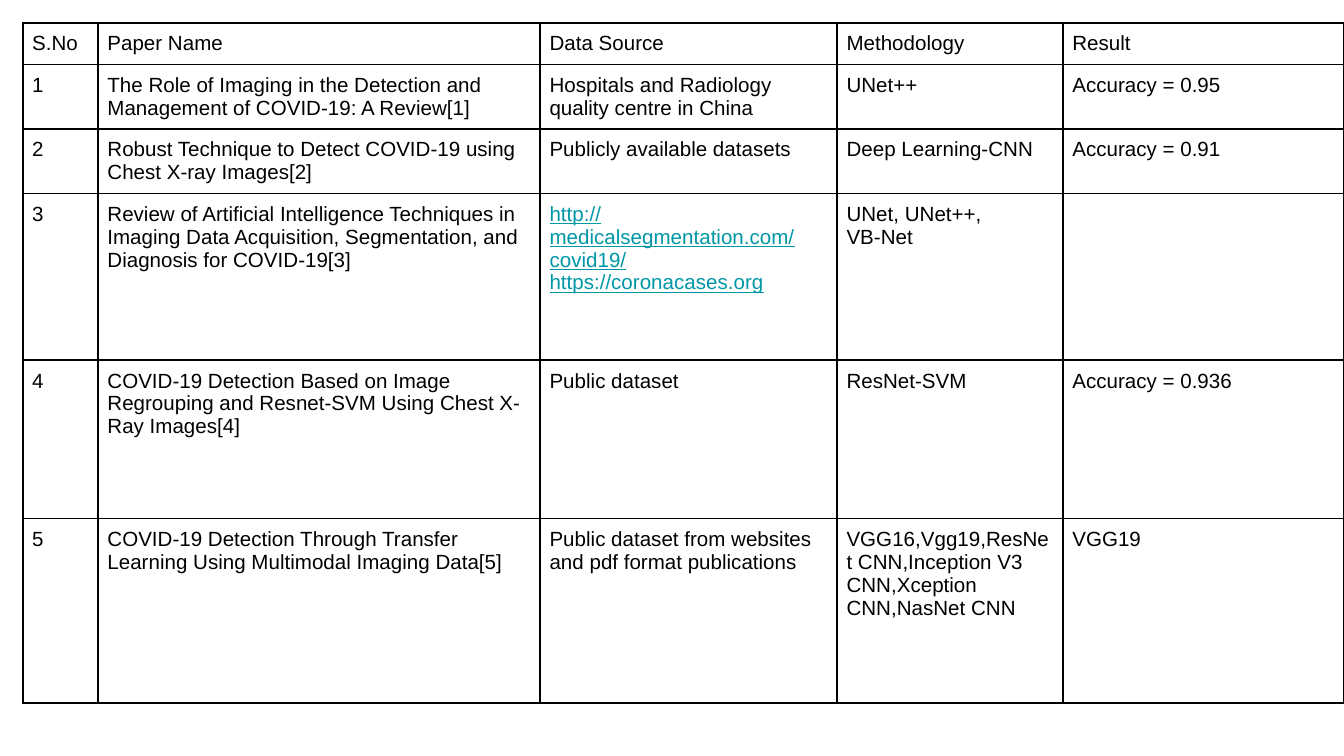
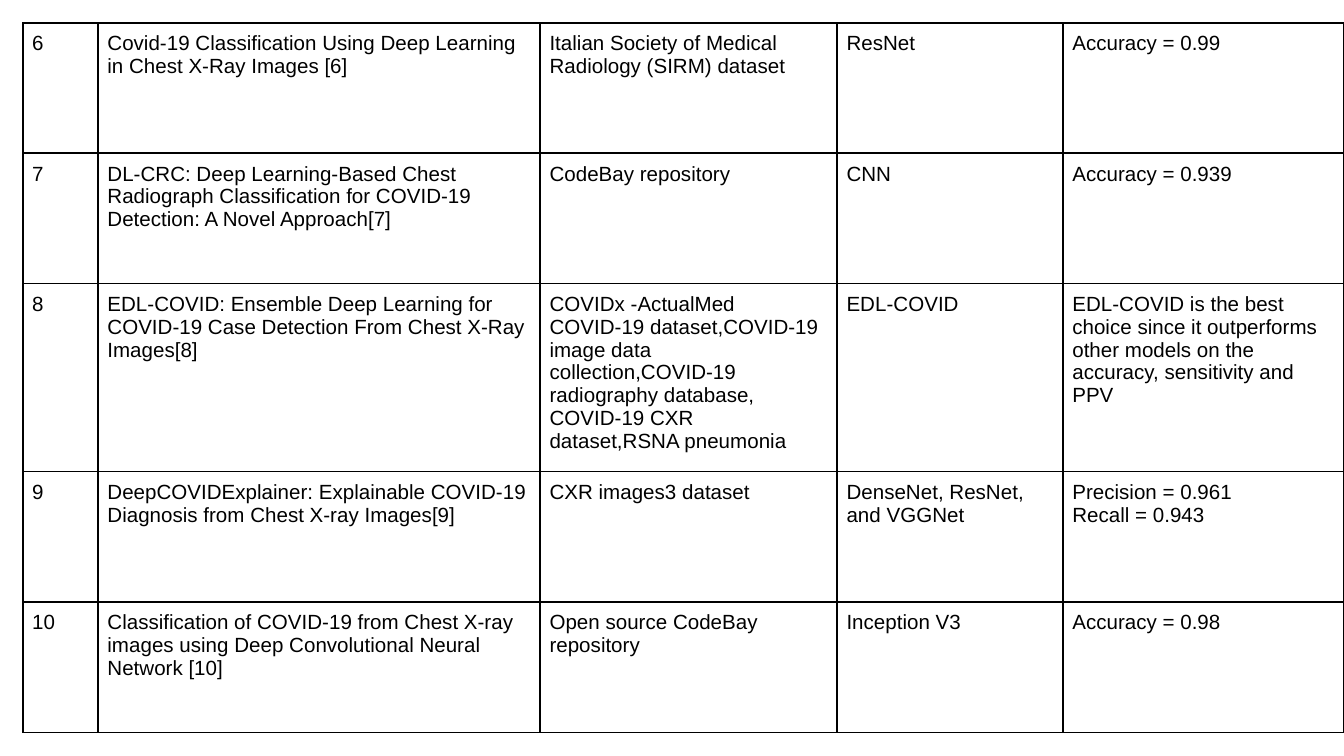
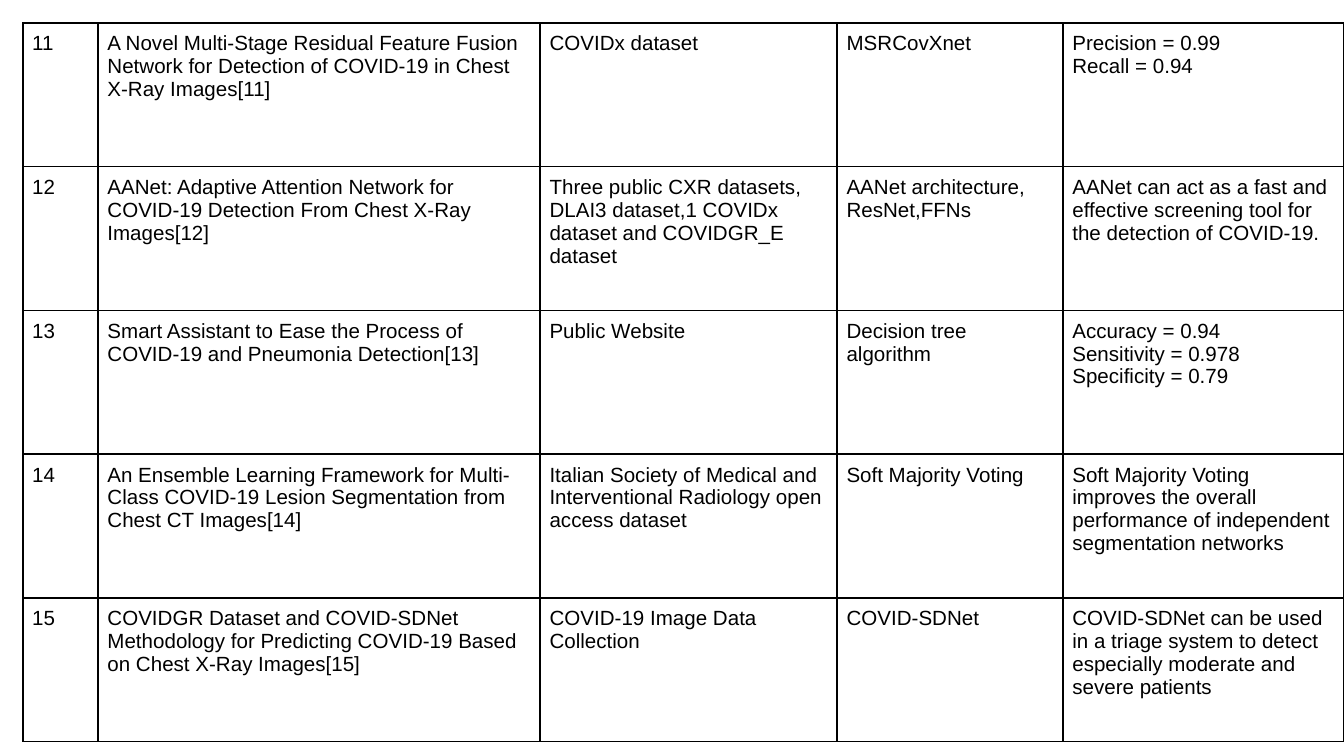
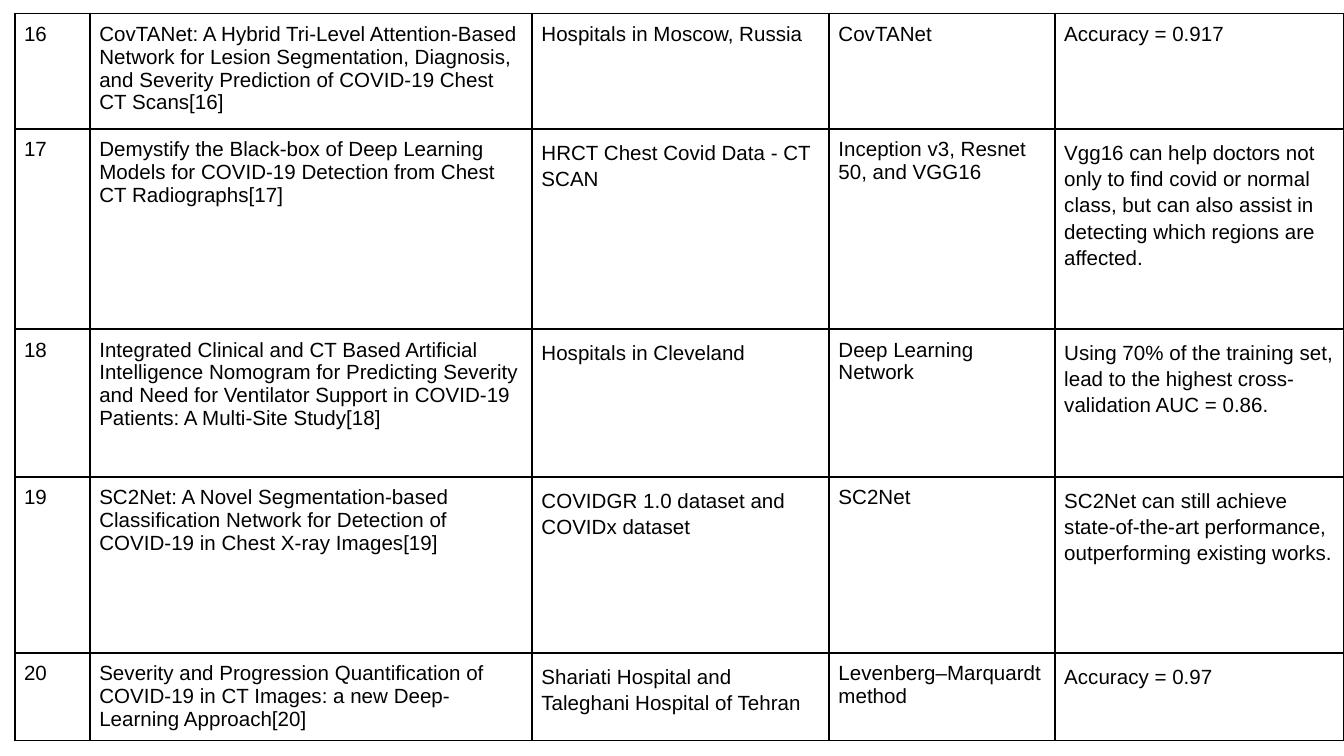
from lxml.etree import SubElement
from pptx import Presentation
from pptx.dml.color import RGBColor as RGB
from pptx.oxml.ns import qn
from pptx.util import Inches, Pt

COLORS = {"text": "000000", "link": "0097A7", "border": "000000", "page": "FFFFFF"}
FONT, SIZE = "Arial", 11
INSET, BORDER = Pt(5), Pt(1)
LOOSE = {2: None, 4: 12}

PAGES = [
    {
        "at": (0.17, 0.17),
        "cols": [0.56, 3.29, 2.21, 1.68, 2.09],
        "heights": [0.31, 0.48, 0.48, 1.24, 1.18, 1.37],
        "rows": [
            ("S.No", "Paper Name", "Data Source", "Methodology", "Result"),
            ("1", "The Role of Imaging in the Detection and Management of COVID-19: A Review[1]",
             "Hospitals and Radiology quality centre in China", "UNet++", "Accuracy = 0.95"),
            ("2", "Robust Technique to Detect COVID-19 using Chest X-ray Images[2]",
             "Publicly available datasets", "Deep Learning-CNN", "Accuracy = 0.91"),
            ("3", "Review of Artificial Intelligence Techniques in Imaging Data Acquisition, "
             "Segmentation, and Diagnosis for COVID-19[3]",
             "http://medicalsegmentation.com/covid19/\nhttps://coronacases.org",
             "UNet, UNet++,\nVB-Net", ""),
            ("4", "COVID-19 Detection Based on Image Regrouping and Resnet-SVM Using Chest X-Ray Images[4]",
             "Public dataset", "ResNet-SVM", "Accuracy = 0.936"),
            ("5", "COVID-19 Detection Through Transfer Learning Using Multimodal Imaging Data[5]",
             "Public dataset from websites and pdf format publications",
             "VGG16,Vgg19,ResNet CNN,Inception V3 CNN,Xception CNN,NasNet CNN", "VGG19"),
        ],
    },
    {
        "at": (0.17, 0.17),
        "cols": [0.56, 3.29, 2.21, 1.68, 2.09],
        "heights": [0.97, 0.97, 1.4, 0.97, 0.97],
        "rows": [
            ("6", "Covid-19 Classification Using Deep Learning in Chest X-Ray Images [6]",
             "Italian Society of Medical Radiology (SIRM) dataset", "ResNet", "Accuracy = 0.99"),
            ("7", "DL-CRC: Deep Learning-Based Chest Radiograph Classification for COVID-19 "
             "Detection: A Novel Approach[7]",
             "CodeBay repository", "CNN", "Accuracy = 0.939"),
            ("8", "EDL-COVID: Ensemble Deep Learning for COVID-19 Case Detection From Chest X-Ray Images[8]",
             "COVIDx -ActualMed COVID-19 dataset,COVID-19 image data collection,COVID-19 "
             "radiography database, COVID-19 CXR dataset,RSNA pneumonia", "EDL-COVID",
             "EDL-COVID is the best choice since it outperforms other models on the accuracy, "
             "sensitivity and PPV"),
            ("9", "DeepCOVIDExplainer: Explainable COVID-19 Diagnosis from Chest X-ray Images[9]",
             "CXR images3 dataset", "DenseNet, ResNet, and VGGNet",
             "Precision = 0.961\nRecall = 0.943"),
            ("10", "Classification of COVID-19 from Chest X-ray images using Deep Convolutional "
             "Neural Network [10]",
             "Open source CodeBay repository", "Inception V3", "Accuracy = 0.98"),
        ],
    },
    {
        "at": (0.17, 0.17),
        "cols": [0.56, 3.29, 2.21, 1.68, 2.09],
        "heights": [1.07] * 5,
        "rows": [
            ("11", "A Novel Multi-Stage Residual Feature Fusion Network for Detection of COVID-19 "
             "in Chest X-Ray Images[11]",
             "COVIDx dataset", "MSRCovXnet", "Precision = 0.99\nRecall = 0.94"),
            ("12", "AANet: Adaptive Attention Network for COVID-19 Detection From Chest X-Ray Images[12]",
             "Three public CXR datasets, DLAI3 dataset,1 COVIDx dataset and COVIDGR_E dataset",
             "AANet architecture, ResNet,FFNs",
             "AANet can act as a fast and effective screening tool for the detection of COVID-19."),
            ("13", "Smart Assistant to Ease the Process of COVID-19 and Pneumonia Detection[13]",
             "Public Website", "Decision tree algorithm",
             "Accuracy = 0.94\nSensitivity = 0.978\nSpecificity = 0.79"),
            ("14", "An Ensemble Learning Framework for Multi-Class COVID-19 Lesion Segmentation "
             "from Chest CT Images[14]",
             "Italian Society of Medical and Interventional Radiology open access dataset",
             "Soft Majority Voting",
             "Soft Majority Voting improves the overall performance of independent segmentation networks"),
            ("15", "COVIDGR Dataset and COVID-SDNet Methodology for Predicting COVID-19 Based on "
             "Chest X-Ray Images[15]",
             "COVID-19 Image Data Collection", "COVID-SDNet",
             "COVID-SDNet can be used in a triage system to detect especially moderate and "
             "severe patients"),
        ],
    },
    {
        "at": (0.11, 0.1),
        "cols": [0.56, 3.29, 2.21, 1.68, 2.15],
        "heights": [0.86, 1.49, 1.1, 1.31, 0.65],
        "loose_from": 1,
        "rows": [
            ("16", "CovTANet: A Hybrid Tri-Level Attention-Based Network for Lesion Segmentation, "
             "Diagnosis, and Severity Prediction of COVID-19 Chest CT Scans[16]",
             "Hospitals in Moscow, Russia", "CovTANet", "Accuracy = 0.917"),
            ("17", "Demystify the Black-box of Deep Learning Models for COVID-19 Detection from "
             "Chest CT Radiographs[17]",
             "HRCT Chest Covid Data - CT SCAN", "Inception v3, Resnet 50, and VGG16",
             "Vgg16 can help doctors not only to find covid or normal class, but can also assist "
             "in detecting which regions are affected."),
            ("18", "Integrated Clinical and CT Based Artificial Intelligence Nomogram for Predicting "
             "Severity and Need for Ventilator Support in COVID-19 Patients: A Multi-Site Study[18]",
             "Hospitals in Cleveland", "Deep Learning Network",
             "Using 70% of the training set, lead to the highest cross-validation AUC = 0.86."),
            ("19", "SC2Net: A Novel Segmentation-based Classification Network for Detection of "
             "COVID-19 in Chest X-ray Images[19]",
             "COVIDGR 1.0 dataset and COVIDx dataset", "SC2Net",
             "SC2Net can still achieve state-of-the-art performance, outperforming existing works."),
            ("20", "Severity and Progression Quantification of COVID-19 in CT Images: a new "
             "Deep-Learning Approach[20]",
             "Shariati Hospital and Taleghani Hospital of Tehran", "Levenberg–Marquardt method",
             "Accuracy = 0.97"),
        ],
    },
]


def add_borders(cell):
    tc_pr = cell._tc.get_or_add_tcPr()
    for side in ("a:lnL", "a:lnR", "a:lnT", "a:lnB"):
        ln = SubElement(tc_pr, qn(side), w=str(BORDER))
        fill = SubElement(ln, qn("a:solidFill"))
        SubElement(fill, qn("a:srgbClr"), val=COLORS["border"])


def fill_cell(cell, text, loose, space_before):
    add_borders(cell)
    cell.fill.background()
    cell.margin_left = cell.margin_right = INSET
    cell.margin_top = cell.margin_bottom = INSET
    tf = cell.text_frame
    for i, line in enumerate(text.split("\n") if text else []):
        p = tf.add_paragraph() if i else tf.paragraphs[0]
        if loose:
            p.line_spacing = 1.15
            if space_before:
                p.space_before = Pt(space_before)
        r = p.add_run()
        r.text = line
        is_link = line.startswith("http")
        r.font.name, r.font.size = FONT, Pt(SIZE)
        r.font.underline = is_link
        r.font.color.rgb = RGB.from_string(COLORS["link" if is_link else "text"])


def add_page(prs, page):
    s = prs.slides.add_slide(prs.slide_layouts[6])
    s.background.fill.solid()
    s.background.fill.fore_color.rgb = RGB.from_string(COLORS["page"])
    rows, cols, heights = page["rows"], page["cols"], page["heights"]
    box = (*page["at"], sum(cols), sum(heights))
    table = s.shapes.add_table(len(rows), len(cols), *map(Inches, box)).table
    table.first_row = table.horz_banding = False
    for column, width in zip(table.columns, cols):
        column.width = Inches(width)
    for i, (row, height) in enumerate(zip(rows, heights)):
        table.rows[i].height = Inches(height)
        for j, text in enumerate(row):
            loose = j in LOOSE and i >= page.get("loose_from", len(rows))
            fill_cell(table.cell(i, j), text, loose, LOOSE.get(j))


def main():
    prs = Presentation()
    prs.slide_width = Inches(10)
    prs.slide_height = prs.slide_width * 9 // 16
    for page in PAGES:
        add_page(prs, page)
    prs.save("out.pptx")


if __name__ == "__main__":
    main()
